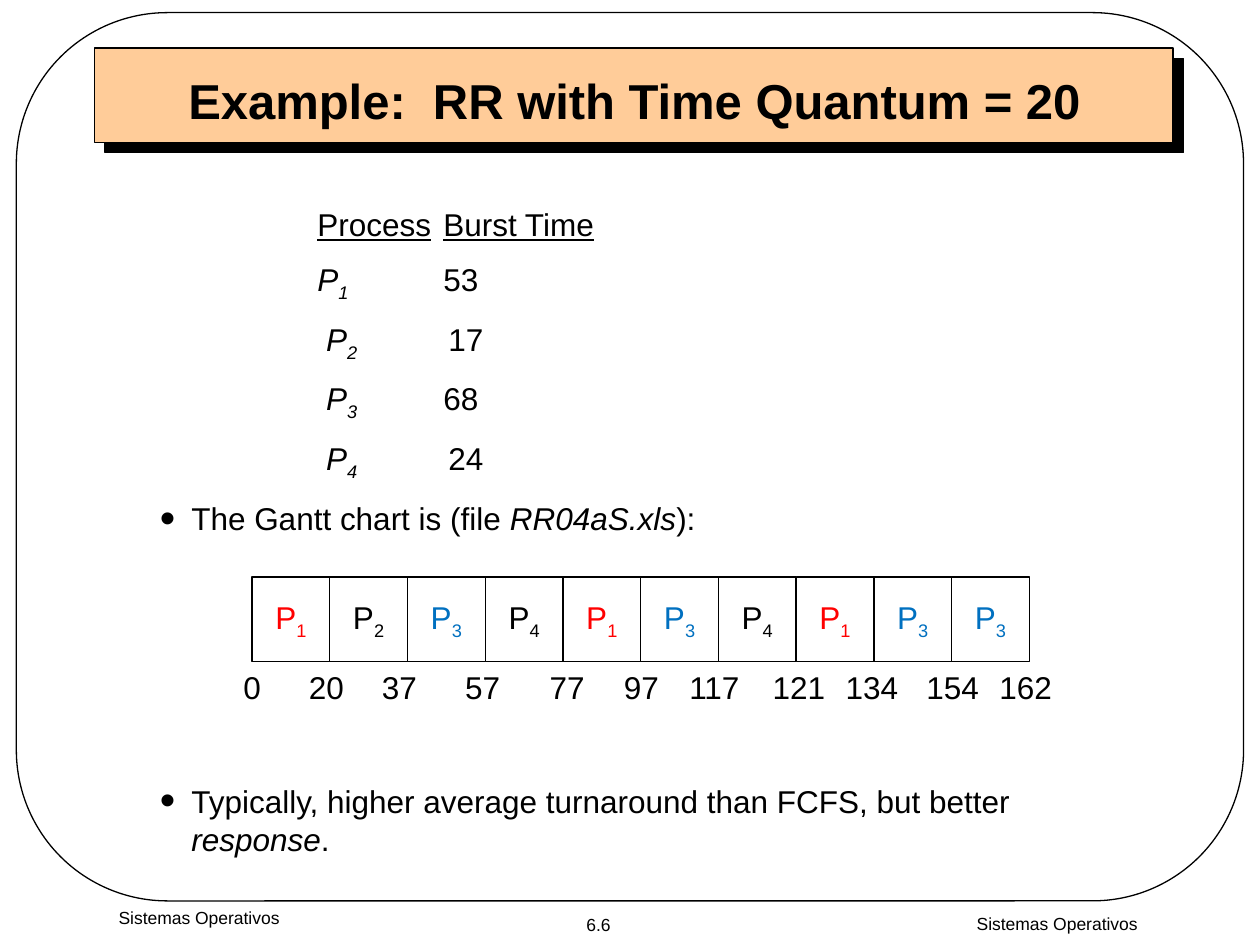
from lxml import etree
from pptx import Presentation
from pptx import util as u
from pptx.dml.color import RGBColor
from pptx.enum import shapes, text
from pptx.oxml import ns

BLACK = RGBColor(0x00, 0x00, 0x00)
WHITE = RGBColor(0xFF, 0xFF, 0xFF)
PEACH = RGBColor(0xFF, 0xCC, 0x99)
RED = RGBColor(0xFF, 0x00, 0x00)
BLUE = RGBColor(0x00, 0x70, 0xC0)

PLAIN = {}
ITALIC = {"italic": True}
UNDERLINE = {"underline": True}
CENTER = text.PP_ALIGN.CENTER
MIDDLE = text.MSO_ANCHOR.MIDDLE
TOP = text.MSO_ANCHOR.TOP


def write(para, parts, size=18, color=BLACK, subscript=()):
    for index, (words, style) in enumerate(parts):
        span = para.add_run()
        span.text = words
        span.font.color.rgb = color
        values = {"name": "Arial", "size": u.Pt(size), **style}
        for name, value in values.items():
            setattr(span.font, name, value)
        if index in subscript:
            span.font._element.set("baseline", "-25000")


def outline(shape, fill=None):
    shape.shadow.inherit = False
    shape.line.color.rgb = BLACK
    shape.line.width = u.Pt(0.75)
    if fill is None:
        shape.fill.background()
    else:
        shape.fill.solid()
        shape.fill.fore_color.rgb = fill


deck = Presentation()
deck.slide_width, deck.slide_height = u.Inches(10), u.Inches(7.5)
page = deck.slides.add_slide(deck.slide_layouts[5])

bar = page.shapes.add_shape(shapes.MSO_SHAPE.RECTANGLE, *map(u.Inches, (0.75, 0.38, 8.56, 0.75)))
outline(bar, PEACH)
effects = bar._element.spPr.find(ns.qn("a:effectLst"))
shadow = etree.SubElement(effects, ns.qn("a:outerShdw"), dist=str(u.Pt(8.5)), dir="2700000",
                          algn="ctr", rotWithShape="0")
etree.SubElement(shadow, ns.qn("a:srgbClr"), val=str(BLACK))

frame = page.shapes.add_shape(shapes.MSO_SHAPE.ROUNDED_RECTANGLE,
                              *map(u.Inches, (0.13, 0.1, 9.74, 7.05)))
frame.adjustments[0] = 0.17
outline(frame)

title = page.shapes.title
title._element.getparent().append(title._element)
bounds = {"left": 1.27, "top": 0.54, "width": 7.53, "height": 0.5}
for name, value in bounds.items():
    setattr(title, name, u.Inches(value))
title.text_frame.vertical_anchor = MIDDLE
title.text_frame.paragraphs[0].alignment = CENTER
write(title.text_frame.paragraphs[0],
      [("Example:  RR with Time Quantum = 20", {"bold": True})], size=28)

body = page.shapes.add_textbox(*map(u.Inches, (1.17, 1.58, 7.69, 4.5))).text_frame
body.word_wrap = True
process_rows = [
    ([("\t", PLAIN), ("Process", UNDERLINE), ("\t", PLAIN), ("Burst Time", UNDERLINE)], ()),
    ([("\tP", ITALIC), ("1\t", ITALIC), ("53", PLAIN)], (1,)),
    ([("\t P", ITALIC), ("2\t ", ITALIC), ("17", PLAIN)], (1,)),
    ([("\t P", ITALIC), ("3\t", ITALIC), ("68", PLAIN)], (1,)),
    ([("\t P", ITALIC), ("4\t ", ITALIC), ("24", PLAIN)], (1,)),
]
for row, (parts, subscript) in enumerate(process_rows):
    para = body.add_paragraph() if row else body.paragraphs[0]
    tabs = etree.SubElement(para._p.get_or_add_pPr(), ns.qn("a:tabLst"))
    for stop in (1.25, 2.25):
        etree.SubElement(tabs, ns.qn("a:tab"), pos=str(u.Inches(stop)), algn="l")
    if row:
        para.space_before = u.Pt(9.6)
    write(para, parts, subscript=subscript)

bullets = [
    (9.6, [("The Gantt chart is (file ", PLAIN), ("RR04aS.xls", ITALIC), ("):", PLAIN)]),
    (140, [("Typically, higher average turnaround than FCFS, but better ", PLAIN),
           ("response", ITALIC), (".", PLAIN)]),
]
for gap, parts in bullets:
    para = body.add_paragraph()
    properties = para._p.get_or_add_pPr()
    properties.set("marL", str(u.Inches(0.25)))
    properties.set("indent", str(u.Inches(-0.25)))
    etree.SubElement(properties, ns.qn("a:buSzPct"), val="140000")
    etree.SubElement(properties, ns.qn("a:buFont"), typeface="Arial")
    etree.SubElement(properties, ns.qn("a:buChar"), char="•")
    para.space_before = u.Pt(gap)
    write(para, parts)

process_colors = {1: RED, 2: BLACK, 3: BLUE, 4: BLACK}
gantt = page.shapes.add_group_shape()
cell_width = u.Inches(6.17) // 10
for column, process in enumerate((1, 2, 3, 4, 1, 3, 4, 1, 3, 3)):
    cell = gantt.shapes.add_shape(shapes.MSO_SHAPE.RECTANGLE,
                                  u.Inches(2) + column * cell_width, u.Inches(4.58),
                                  cell_width, u.Inches(0.67))
    outline(cell, WHITE)
    cell.text_frame.word_wrap = False
    cell.text_frame.vertical_anchor = MIDDLE
    para = cell.text_frame.paragraphs[0]
    para.alignment = CENTER
    write(para, [("P", PLAIN), (str(process), PLAIN)],
          color=process_colors[process], subscript=(1,))

times = (0, 20, 37, 57, 77, 97, 117, 121, 134, 154, 162)
centers = (2, 2.59, 3.17, 3.83, 4.5, 5.09, 5.67, 6.34, 6.92, 7.56, 8.14)
labels = [(str(time), center, 5.25, 0.62, 0.4, 18, MIDDLE)
          for time, center in zip(times, centers)]
labels += [
    ("Sistemas Operativos", 1.58, 7.15, 3.17, 0.35, 10, TOP),
    ("6.6", 4.66, 7.2, 0.56, 0.27, 10, MIDDLE),
    ("Sistemas Operativos", 8.39, 7.2, 3.17, 0.3, 10, TOP),
]
labels[-2] = ("6.6", 4.75, 7.2, 0.56, 0.27, 10, MIDDLE)
for words, center, top, width, height, size, anchor in labels:
    box = page.shapes.add_textbox(*map(u.Inches, (center - width / 2, top, width, height)))
    box.text_frame.word_wrap = width > 1
    box.text_frame.vertical_anchor = anchor
    para = box.text_frame.paragraphs[0]
    para.alignment = CENTER
    write(para, [(words, PLAIN)], size=size)

deck.save("out.pptx")
